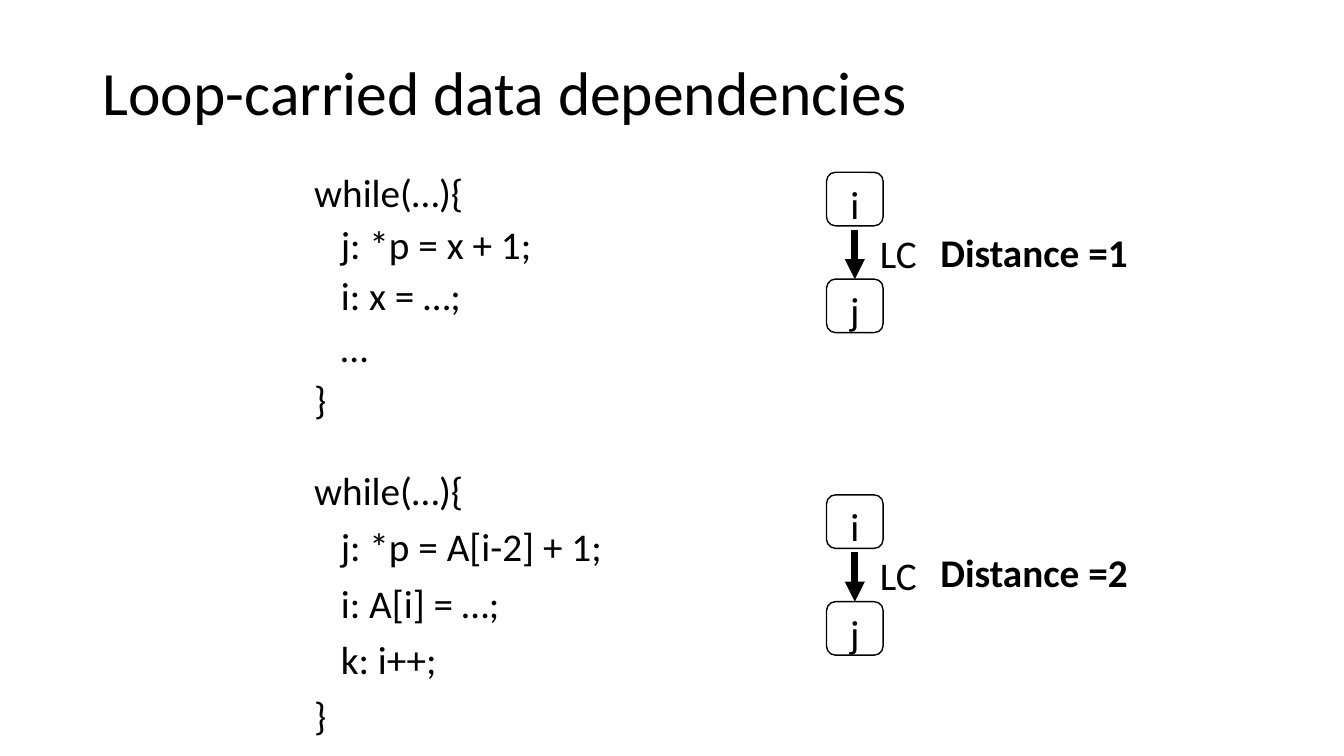
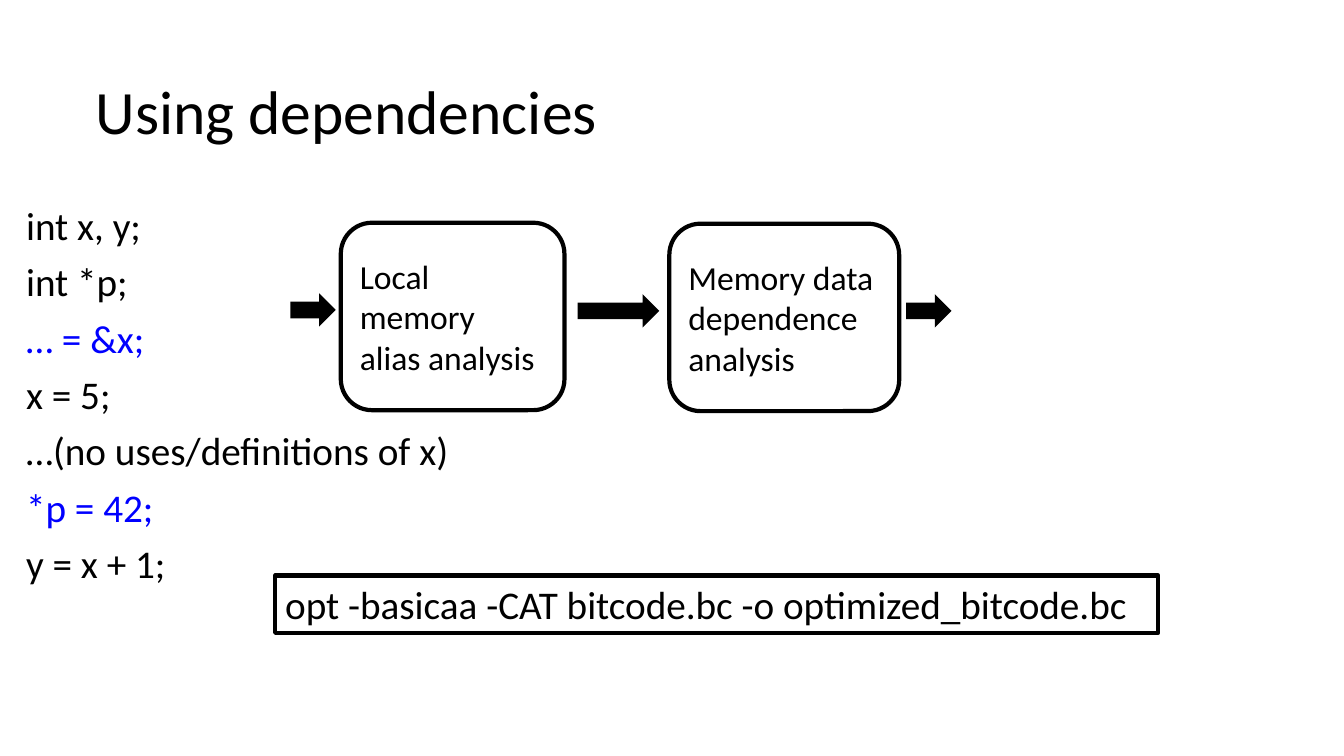
from dataclasses import dataclass

from lxml import etree
from pptx import Presentation
from pptx.dml.color import RGBColor
from pptx.enum import shapes, text
from pptx.oxml import ns
from pptx.util import Pt


@dataclass(frozen=True)
class Theme:
    font: str = "Calibri"
    ink: RGBColor = RGBColor(0, 0, 0)
    accent: RGBColor = RGBColor(0, 0, 255)
    title: int = 44
    body: int = 28
    step: int = 24
    thin: float = 1
    thick: float = 3
    arrow: float = 4.75


T = Theme()
SHAPE = shapes.MSO_SHAPE
TOP, MIDDLE = text.MSO_ANCHOR.TOP, text.MSO_ANCHOR.MIDDLE
LEFT, CENTER = text.PP_ALIGN.LEFT, text.PP_ALIGN.CENTER


def write(sp, lines, size=T.body, bold=False, align=LEFT, anchor=TOP,
          spacing=1.0, before=0, accented=(), indented=()):
    """Write one paragraph per line; accented and indented hold line indexes."""
    tf = sp.text_frame
    tf.word_wrap = True
    tf.vertical_anchor = anchor
    for n, line in enumerate(lines):
        p = tf.paragraphs[0] if n == 0 else tf.add_paragraph()
        p.text = line
        p.alignment = align
        p.line_spacing = spacing
        p.space_before = Pt(before)
        if n in indented:
            p._p.get_or_add_pPr().set("marL", str(Pt(19)))
        for r in p.runs:
            r.font.name, r.font.size, r.font.bold = T.font, Pt(size), bold
            r.font.color.rgb = T.accent if n in accented else T.ink


def add_text(s, box, lines, **fmt):
    write(s.shapes.add_textbox(*map(Pt, box)), lines, **fmt)


def add_title(s, box, title):
    add_text(s, box, [title], size=T.title, anchor=MIDDLE, spacing=0.9)


def add_code(s, box, lines, spacing=0.9, **fmt):
    add_text(s, box, lines, spacing=spacing, before=10, **fmt)


def add_outline(s, kind, box, width):
    sp = s.shapes.add_shape(kind, *map(Pt, box))
    sp.shadow.inherit = False
    sp.fill.background()
    sp.line.color.rgb = T.ink
    sp.line.width = Pt(width)
    return sp


def add_block_arrow(s, left, top, width):
    sp = s.shapes.add_shape(SHAPE.RIGHT_ARROW, *map(Pt, (left, top, width, 23.8)))
    sp.shadow.inherit = False
    sp.fill.solid()
    sp.fill.fore_color.rgb = T.ink
    sp.line.fill.background()


def add_node(s, left, top, label):
    sp = add_outline(s, SHAPE.ROUNDED_RECTANGLE, (left, top, 40.4, 38.2), T.thin)
    tf = sp.text_frame
    tf.margin_left = tf.margin_right = tf.margin_bottom = 0
    write(sp, [label], align=CENTER)
    return sp


def add_down_arrow(s, x, top, target):
    """Draw an arrow from (x, top) to the top of the target."""
    c = s.shapes.add_connector(shapes.MSO_CONNECTOR.STRAIGHT,
                               Pt(x), Pt(top), Pt(x), target.top)
    c.end_connect(target, 0)
    c.line.color.rgb = T.ink
    c.line.width = Pt(T.arrow)
    etree.SubElement(c.line._get_or_add_ln(), ns.qn("a:tailEnd"), type="triangle")
    etree.SubElement(c._element.spPr, ns.qn("a:effectLst"))


def add_dependence(s, top, distance, distance_top):
    """Draw the loop-carried dependence from i to j with its distance."""
    left = 590.4
    add_node(s, left, top, "i")
    target = add_node(s, left, top + 76.3, "j")
    add_down_arrow(s, left + 20.2, top + 41, target)
    add_text(s, (621.4, top + 37, 50, 41), ["LC"])
    add_text(s, (664.6, distance_top, 190.8, 41), [f"Distance ={distance}"], bold=True)


def loop_slide(s):
    add_title(s, (66.2, 28.8, 828, 79.2), "Loop-carried data dependencies")
    add_code(s, (217.4, 123.1, 211, 190.8),
             ["while(…){", "j: *p = x + 1;", "i: x = …;", "…", "}"],
             spacing=0.8, indented=(1, 2, 3))
    add_code(s, (217.4, 333.4, 254.9, 206.6),
             ["while(…){", "j: *p = A[i-2] + 1;", "i: A[i] = …;", "k: i++;", "}"],
             indented=(1, 2, 3))
    add_dependence(s, 123.1, 1, 159.8)
    add_dependence(s, 353.5, 2, 388.1)


def usage_slide(s):
    add_code(s, (11.5, 144, 318.2, 342.7),
             ["int x, y;", "int *p;", "… = &x;", "x = 5;",
              "…(no uses/definitions of x)", "*p = 42;", "y = x + 1;"],
             accented=(2, 5))
    add_title(s, (61.2, 29.5, 828, 104.4), "Using dependencies")
    for left, top, width, lines in (
            (243.4, 159.1, 159.8, ["Local\vmemory", "alias analysis"]),
            (478.1, 159.8, 164.2, ["Memory data dependence analysis"])):
        sp = add_outline(s, SHAPE.ROUNDED_RECTANGLE, (left, top, width, 133.9), T.thick)
        write(sp, lines, size=T.step, anchor=MIDDLE)
    for left, top, width in ((207.4, 209.5, 32.4), (412.6, 210.2, 58.3),
                             (647.3, 210.2, 32.4)):
        add_block_arrow(s, left, top, width)
    command = add_outline(s, SHAPE.RECTANGLE, (196.6, 411.1, 630.7, 41), T.thick)
    write(command, ["opt -basicaa -CAT bitcode.bc -o optimized_bitcode.bc"])


def main():
    prs = Presentation()
    prs.slide_width, prs.slide_height = Pt(960), Pt(540)
    for build in (loop_slide, usage_slide):
        build(prs.slides.add_slide(prs.slide_layouts[6]))
    prs.save("out.pptx")


if __name__ == "__main__":
    main()
